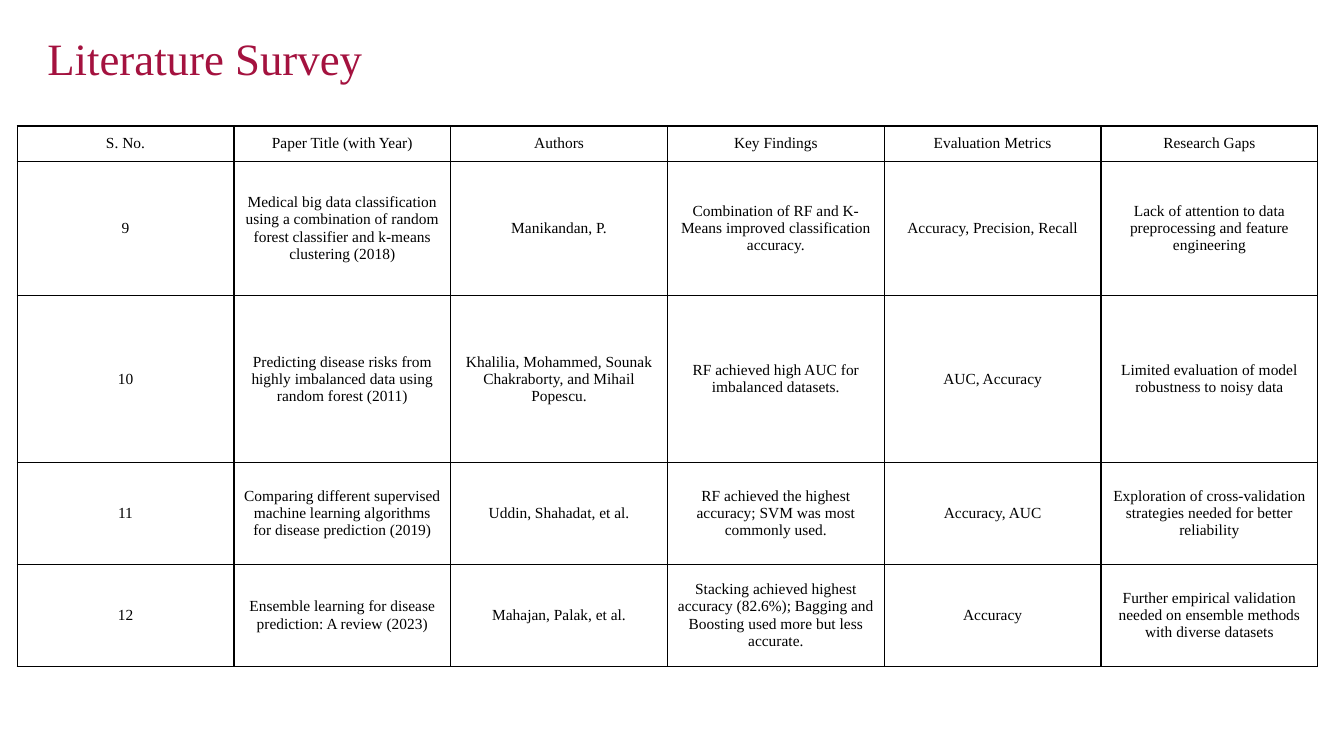
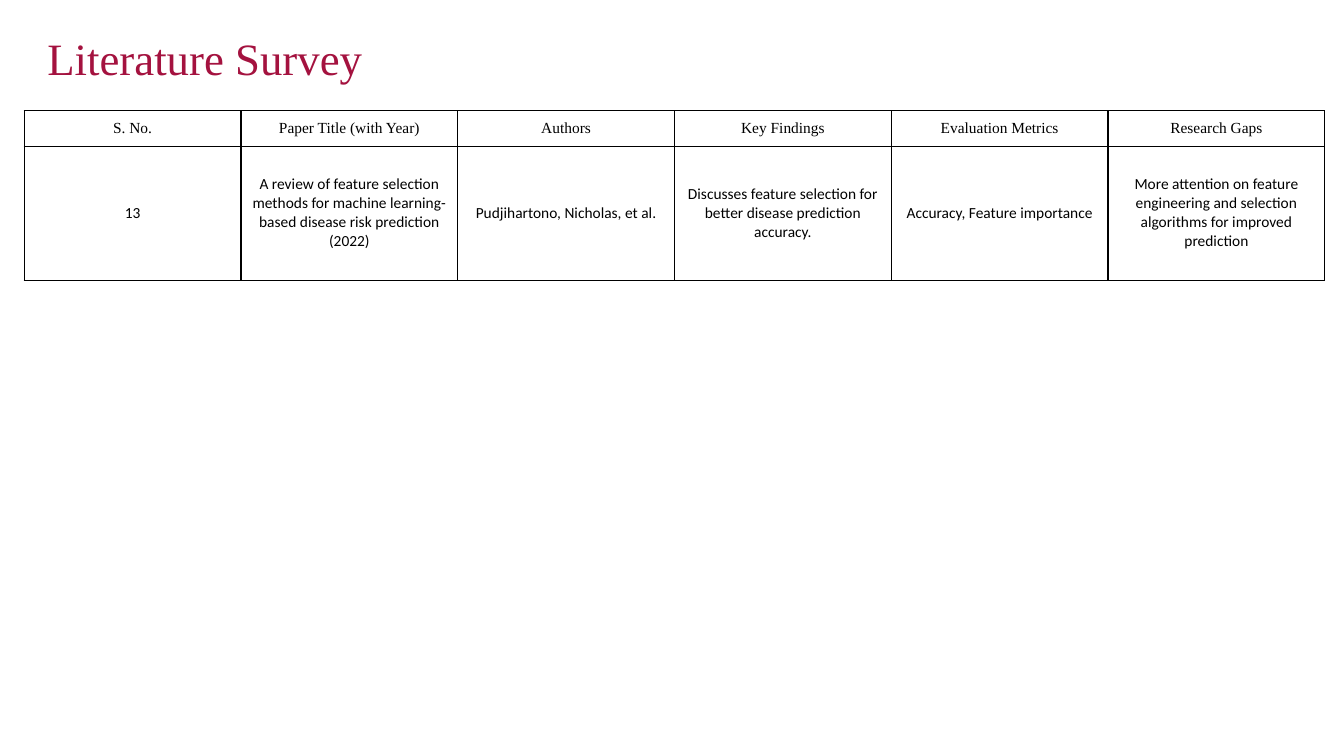
from lxml import etree
from pptx import Presentation
from pptx.dml.color import RGBColor
from pptx.enum.text import MSO_ANCHOR as Anchor, PP_ALIGN as Align
from pptx.oxml.ns import qn
from pptx.util import Inches, Pt

# Shared style
CRIMSON = RGBColor(0xA4, 0x12, 0x3F)
BLACK = RGBColor(0, 0, 0)
SERIF = "Times New Roman"
SANS = "Calibri"
COL_W = 2.15
HEAD_H = 0.35
TITLE = "Literature Survey"
HEAD = ["S. No.", "Paper Title (with Year)", "Authors", "Key Findings",
        "Evaluation Metrics", "Research Gaps"]

# Each paper: row height, then cell texts
FIRST = [
    (1.33, ["9",
            "Medical big data classification using a combination of random "
            "forest classifier and k-means clustering (2018)",
            "Manikandan, P.",
            "Combination of RF and K-Means improved classification accuracy.",
            "Accuracy, Precision, Recall",
            "Lack of attention to data preprocessing and feature engineering"]),
    (1.66, ["10",
            "Predicting disease risks from highly imbalanced data using "
            "random forest (2011)",
            "Khalilia, Mohammed, Sounak Chakraborty, and Mihail Popescu.",
            "RF achieved high AUC for imbalanced datasets.",
            "AUC, Accuracy",
            "Limited evaluation of model robustness to noisy data"]),
    (1.01, ["11",
            "Comparing different supervised machine learning algorithms for "
            "disease prediction (2019)",
            "Uddin, Shahadat, et al.",
            "RF achieved the highest accuracy; SVM was most commonly used.",
            "Accuracy, AUC",
            "Exploration of cross-validation strategies needed for better "
            "reliability"]),
    (1.01, ["12",
            "Ensemble learning for disease prediction: A review (2023)",
            "Mahajan, Palak, et al.",
            "Stacking achieved highest accuracy (82.6%); Bagging and Boosting "
            "used more but less accurate.",
            "Accuracy",
            "Further empirical validation needed on ensemble methods with "
            "diverse datasets"]),
]
LAST = [
    (1.33, ["13",
            "A review of feature selection methods for machine learning-based "
            "disease risk prediction (2022)",
            "Pudjihartono, Nicholas, et al.",
            "Discusses feature selection for better disease prediction accuracy.",
            "Accuracy, Feature importance",
            "More attention on feature engineering and selection algorithms "
            "for improved prediction"]),
]


def put_text(frame, text, size=11, font=SERIF, color=BLACK,
             align=Align.CENTER, spacing=None):
    frame.word_wrap = True
    para = frame.paragraphs[0]
    para.alignment = align
    para.line_spacing = spacing
    run = para.add_run()
    run.text = text
    run.font.size = Pt(size)
    run.font.name = font
    run.font.bold = False
    run.font.color.rgb = color


def add_edges(cell, color=BLACK, width=1):
    props = cell._tc.get_or_add_tcPr()
    for side in ("lnL", "lnR", "lnT", "lnB"):
        line = etree.SubElement(props, qn(f"a:{side}"), w=str(Pt(width)))
        fill = etree.SubElement(line, qn("a:solidFill"))
        etree.SubElement(fill, qn("a:srgbClr"), val=str(color))


def add_title(slide):
    title = slide.shapes.title
    title.left, title.top = Inches(0.37), Inches(0.38)
    title.width, title.height = Inches(12.51), Inches(0.46)
    title.text_frame.vertical_anchor = Anchor.MIDDLE
    put_text(title.text_frame, TITLE, size=32, color=CRIMSON,
             align=Align.LEFT, spacing=0.9)


def add_grid(slide, left, top, papers, font):
    rows = [(HEAD_H, HEAD)] + papers
    total = sum(height for height, _ in rows)
    table = slide.shapes.add_table(
        len(rows), len(HEAD), Inches(left), Inches(top),
        Inches(COL_W * len(HEAD)), Inches(total)).table
    table.first_row = table.horz_banding = False
    for col in table.columns:
        col.width = Inches(COL_W)
    for r, (height, texts) in enumerate(rows):
        table.rows[r].height = Inches(height)
        for c, text in enumerate(texts):
            cell = table.cell(r, c)
            cell.vertical_anchor = Anchor.MIDDLE
            add_edges(cell)
            cell.fill.background()
            put_text(cell.text_frame, text, font=font if r else SERIF)


def main():
    deck = Presentation()
    deck.slide_width, deck.slide_height = Inches(13.33), Inches(7.5)
    layout = deck.slide_layouts.get_by_name("Title Only")
    for left, top, papers, font in ((0.17, 1.25, FIRST, SERIF),
                                    (0.24, 1.1, LAST, SANS)):
        slide = deck.slides.add_slide(layout)
        add_title(slide)
        add_grid(slide, left, top, papers, font)
    deck.save("out.pptx")


if __name__ == "__main__":
    main()
